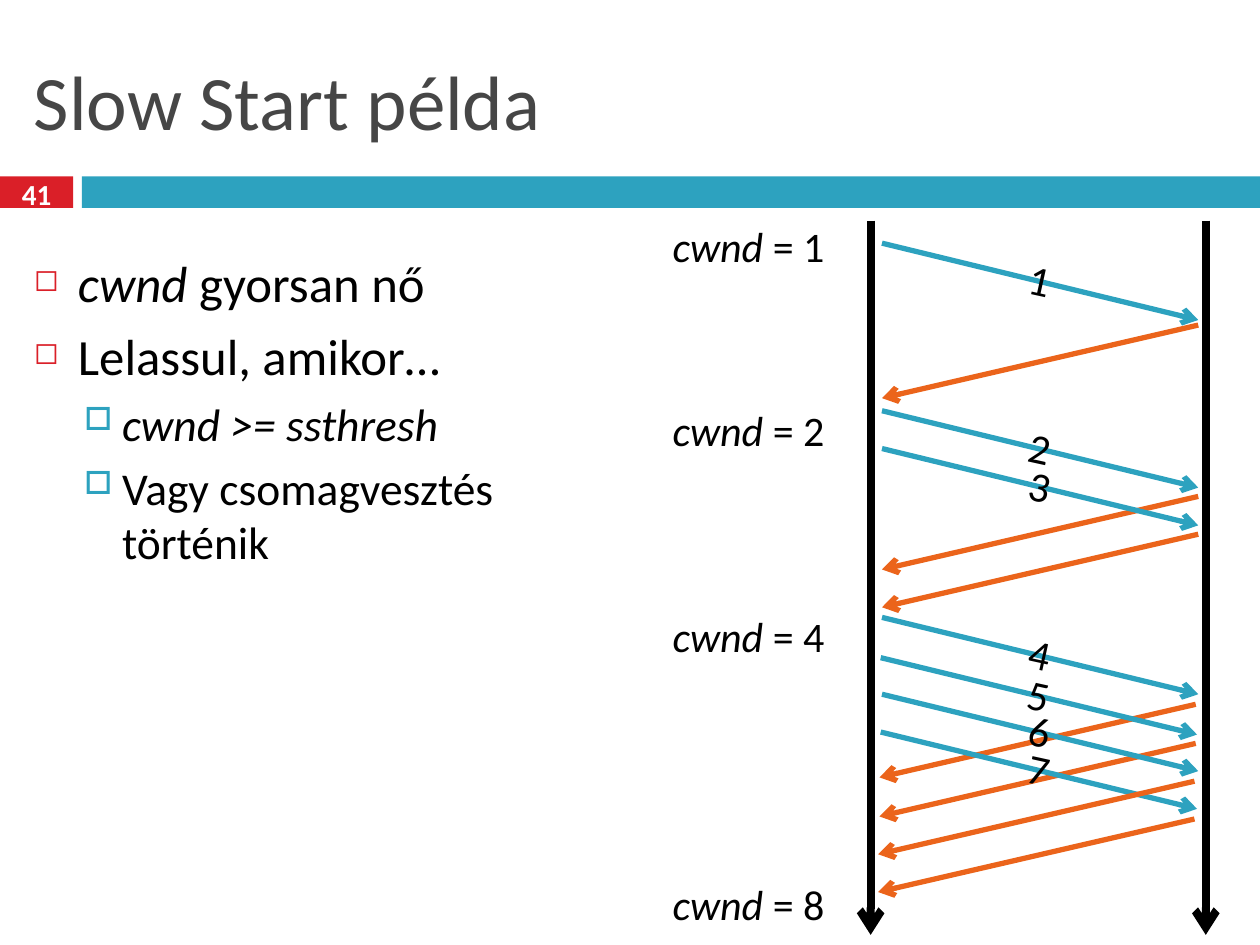
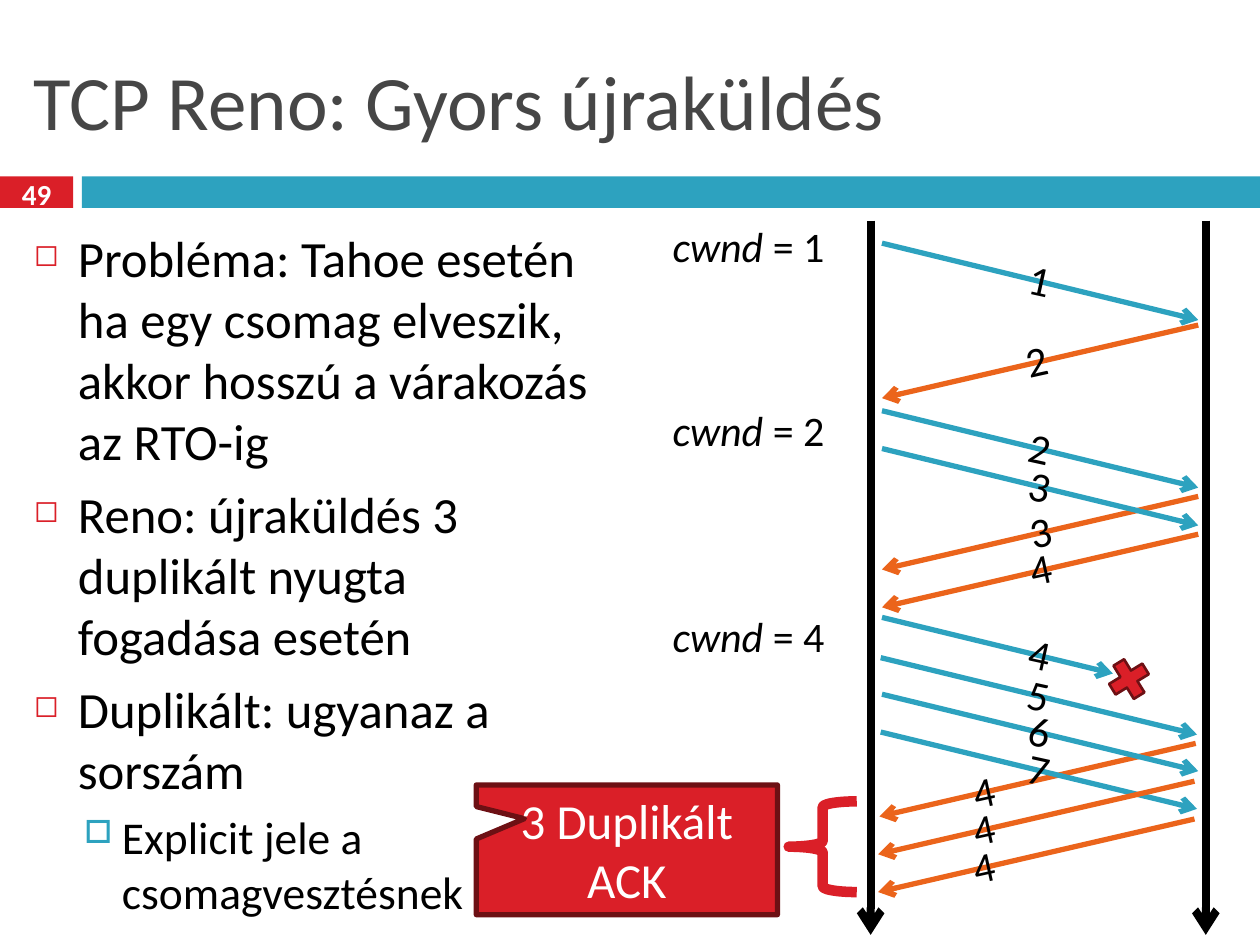
"""Build two slides on TCP congestion control with sequence diagrams."""
from lxml import etree
from pptx import Presentation
from pptx.dml.color import RGBColor
from pptx.enum.shapes import MSO_CONNECTOR, MSO_SHAPE
from pptx.enum.text import MSO_ANCHOR, PP_ALIGN
from pptx.oxml.ns import qn
from pptx.util import Inches, Pt

LEFT, CENTER = PP_ALIGN.LEFT, PP_ALIGN.CENTER
TOP, MIDDLE = MSO_ANCHOR.TOP, MSO_ANCHOR.MIDDLE
STRAIGHT = MSO_CONNECTOR.STRAIGHT
RECTANGLE, CROSS = MSO_SHAPE.RECTANGLE, MSO_SHAPE.MATH_MULTIPLY
BRACE, CALLOUT = MSO_SHAPE.LEFT_BRACE, MSO_SHAPE.RECTANGULAR_CALLOUT

COLORS = {
    "red": "DA1F28", "dark_red": "6D1014", "teal": "2DA2BF", "orange": "EB641B",
    "title": "464646", "black": "000000", "white": "FFFFFF",
}
FONT = "Calibri"
BANDS = [("red", (0, 1.4, 0.58, 0.25)), ("teal", (0.65, 1.4, 9.35, 0.25))]
BULLETS = [
    {"size": 29, "margin": 0.35, "hang": 0.35, "before": 7,
     "char": "◻", "color": "red", "percent": 60},
    {"size": 26, "margin": 0.7, "hang": 0.3, "before": 5.5,
     "char": "□", "color": "teal", "percent": 70},
]

TIMELINES = [6.91, 9.57]
TIMELINE_SPAN = (1.75, 7.42)
PACKET_RUN, PACKET_DROP = 2.51, 0.61
ACK_RUN, ACK_DROP = 2.51, 0.58
LOST_SHARE = 0.73
TILT = 12.4
PACKETS = [
    ("1", 7, 1.93), ("2", 7, 3.26), ("3", 7, 3.56), ("4", 7, 4.9),
    ("5", 6.99, 5.22), ("6", 7, 5.51), ("7", 6.99, 5.81),
]
ACKS = {
    "1": (9.51, 2.58), "2": (9.51, 3.94), "3": (9.51, 4.24), "4": (9.49, 5.59),
    "5": (9.49, 5.9), "6": (9.48, 6.2), "7": (9.48, 6.5),
}
FRONT_ACKS = ("6", "7")
WINDOW_TOPS = {"1": 1.7, "2": 3.16, "4": 4.8, "8": 6.92}

SLIDES = [
    {
        "title": "Slow Start példa", "number": "41",
        "body_at": (0.17, 1.95, 4.62, 5.38),
        "body": [
            (0, [("cwnd ", True), ("gyorsan nő", False)]),
            (0, [("Lelassul, amikor…", False)]),
            (1, [("cwnd >= ssthresh", True)]),
            (1, [("Vagy csomagvesztés történik", False)]),
        ],
        "windows": "1248", "lost": "", "ack_labels": {},
    },
    {
        "title": "TCP Reno: Gyors újraküldés", "number": "49",
        "body_at": (0.17, 1.75, 4.7, 5.58),
        "body": [
            (0, [("Probléma: Tahoe esetén ha egy csomag elveszik, "
                  "akkor hosszú a várakozás az RTO-ig", False)]),
            (0, [("Reno: újraküldés 3 duplikált nyugta fogadása esetén", False)]),
            (0, [("Duplikált: ugyanaz a sorszám", False)]),
            (1, [("Explicit jele a csomagvesztésnek", False)]),
        ],
        "windows": "124", "lost": "4",
        "ack_labels": {"1": ("2", 7.67), "2": ("3", 7.7), "3": ("4", 7.7),
                       "5": ("4", 7.25), "6": ("4", 7.25), "7": ("4", 7.25)},
        "callout": "3 Duplikált ACK",
    },
]


def rgb(color):
    return RGBColor.from_string(COLORS[color])


def add_span(para, text, size, color="black", **formats):
    span = para.add_run()
    span.text = text
    for name, value in {"name": FONT, "size": Pt(size), **formats}.items():
        setattr(span.font, name, value)
    span.font.color.rgb = rgb(color)


def add_text(page, at, spans, size, color="black", align=LEFT, anchor=TOP,
             wrap=True, rotation=0, bold=False):
    box = page.shapes.add_textbox(*map(Inches, at))
    box.rotation = rotation
    box.text_frame.word_wrap = wrap
    box.text_frame.vertical_anchor = anchor
    para = box.text_frame.paragraphs[0]
    para.alignment = align
    for text, italic in spans:
        add_span(para, text, size, color, italic=italic, bold=bold)


def add_figure(page, kind, at, fill=None, line=None, width=0):
    figure = page.shapes.add_shape(kind, *map(Inches, at))
    figure.shadow.inherit = False
    for part, color in ((figure.fill, fill), (figure.line.fill, line)):
        if color:
            part.solid()
            part.fore_color.rgb = rgb(color)
        else:
            part.background()
    if line:
        figure.line.width = Pt(width)
    return figure


def add_arrow(page, start, end, color, width=3):
    arrow = page.shapes.add_connector(STRAIGHT, *map(Inches, (*start, *end)))
    arrow.line.width = Pt(width)
    arrow.line.color.rgb = rgb(color)
    properties = arrow._element.spPr
    etree.SubElement(properties.find(qn("a:ln")), qn("a:tailEnd"), type="arrow")
    etree.SubElement(properties, qn("a:effectLst"))


def add_bullet(para, style):
    para.space_before = Pt(style["before"])
    properties = para._p.get_or_add_pPr()
    properties.set("marL", str(Inches(style["margin"])))
    properties.set("indent", str(-Inches(style["hang"])))
    color = etree.SubElement(properties, qn("a:buClr"))
    etree.SubElement(color, qn("a:srgbClr"), val=COLORS[style["color"]])
    etree.SubElement(properties, qn("a:buSzPct"), val=str(style["percent"] * 1000))
    etree.SubElement(properties, qn("a:buChar"), char=style["char"])


def add_frame(page, content):
    for color, at in BANDS:
        add_figure(page, RECTANGLE, at, color)
    add_text(page, (0.17, 0.25, 9.67, 1.08), [(content["title"], False)], 44,
             "title", anchor=MIDDLE)
    add_text(page, (0, 1.37, 0.58, 0.33), [(content["number"], False)], 16.6,
             "white", CENTER, MIDDLE, bold=True)


def add_body(page, content):
    box = page.shapes.add_textbox(*map(Inches, content["body_at"]))
    frame = box.text_frame
    frame.word_wrap = True
    for index, (level, spans) in enumerate(content["body"]):
        para = frame.add_paragraph() if index else frame.paragraphs[0]
        para.level = level
        add_bullet(para, BULLETS[level])
        for text, italic in spans:
            add_span(para, text, BULLETS[level]["size"], italic=italic)


def add_label(page, text, left, top, tilt):
    add_text(page, (left, top, 1.11, 0.5), [(text, False)], 24,
             align=CENTER, rotation=tilt)


def add_acks(page, content, front):
    for packet, (right, top) in ACKS.items():
        if packet != content["lost"] and (packet in FRONT_ACKS) == front:
            add_arrow(page, (right, top), (right - ACK_RUN, top + ACK_DROP), "orange")


def add_packets(page, content):
    for number, left, top in PACKETS:
        share = LOST_SHARE if number == content["lost"] else 1
        end = (left + PACKET_RUN * share, top + PACKET_DROP * share)
        add_arrow(page, (left, top), end, "teal")
        add_label(page, number, left + 0.7, top + 0.04, TILT)


def add_sequence(page, content):
    add_acks(page, content, front=False)
    for x in TIMELINES:
        add_arrow(page, (x, TIMELINE_SPAN[0]), (x, TIMELINE_SPAN[1]), "black", 4.5)
    add_packets(page, content)
    add_acks(page, content, front=True)
    for window in content["windows"]:
        add_text(page, (5.24, WINDOW_TOPS[window], 1.56, 0.5),
                 [("cwnd", True), (f" = {window}", False)], 24, wrap=False)
    for packet, (text, left) in content["ack_labels"].items():
        top = ACKS[packet][1] + 0.02 + (7.7 - left) * ACK_DROP / ACK_RUN
        add_label(page, text, left, top, -TILT)


def add_loss(page, text):
    cross = add_figure(page, CROSS, (8.75, 5.18, 0.42, 0.42), "red", "dark_red", 1.5)
    cross.rotation = 13.5
    add_figure(page, BRACE, (6.26, 6.36, 0.54, 0.72), line="red", width=6)
    callout = add_figure(page, CALLOUT, (3.78, 6.23, 2.39, 1.03),
                         "red", "dark_red", 3)
    callout.adjustments[0], callout.adjustments[1] = -0.34, -0.24
    callout.text_frame.word_wrap = True
    callout.text_frame.vertical_anchor = MIDDLE
    para = callout.text_frame.paragraphs[0]
    para.alignment = CENTER
    add_span(para, text, 28, "white")


def main():
    deck = Presentation()
    deck.slide_width, deck.slide_height = Inches(10), Inches(7.5)
    for content in SLIDES:
        page = deck.slides.add_slide(deck.slide_layouts[6])
        add_frame(page, content)
        add_body(page, content)
        add_sequence(page, content)
        if "callout" in content:
            add_loss(page, content["callout"])
    deck.save("out.pptx")


if __name__ == "__main__":
    main()
